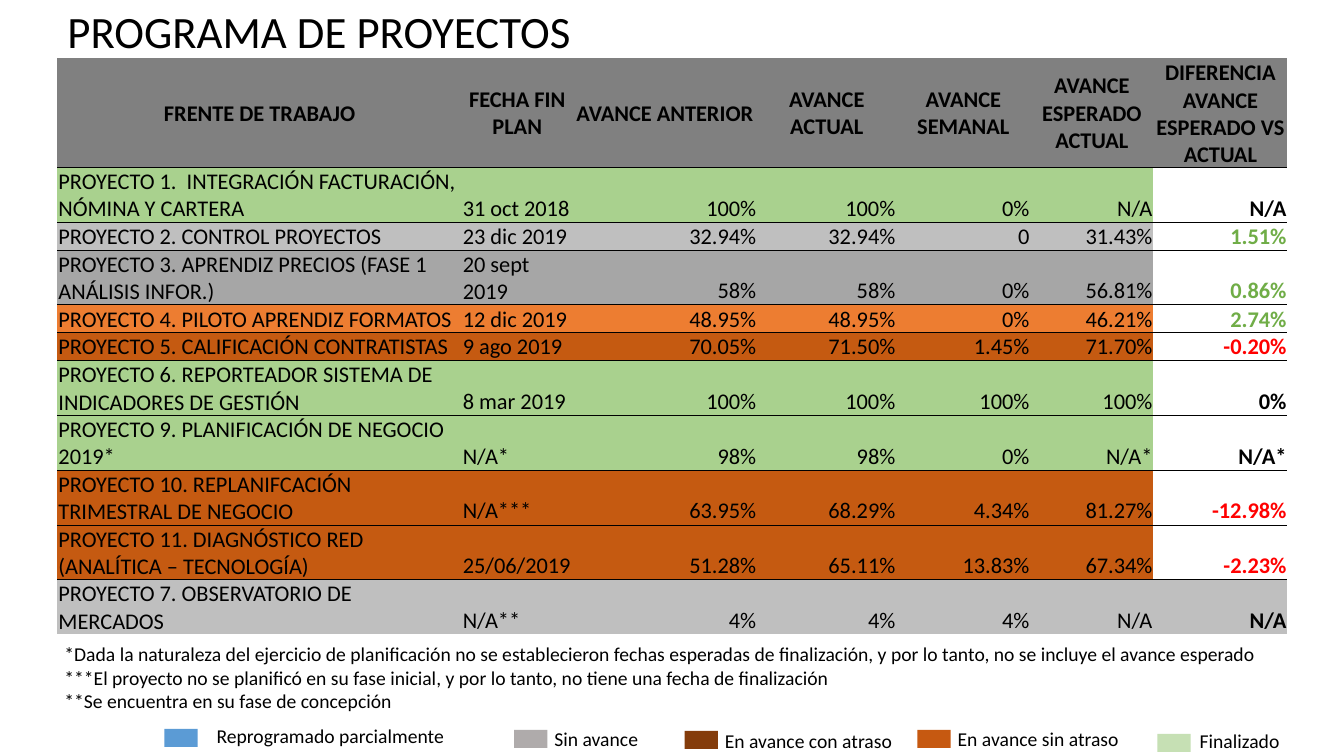
from lxml import etree
from pptx import Presentation, util as u
from pptx.dml.color import RGBColor
from pptx.enum import shapes, text
from pptx.oxml.ns import qn

SCALE = 9144
BLACK, WHITE, GREEN, RED = "000000", "FFFFFF", "70AD47", "FF0000"
DONE, IDLE, IDLE_DARK, ON_TIME, LATE = "A9D18E", "BFBFBF", "A6A6A6", "ED7D31", "C55A11"
HEADER_FILL = "808080"
NO_STYLE = "{2D5ABB26-0587-4C30-8999-92F81FD0307C}"

COLUMN_WIDTHS = [401, 110, 183, 138, 133, 122, 133]
HEADER_HEIGHT, LINE_HEIGHT = 108, 27
HEADERS = ["FRENTE DE TRABAJO", "FECHA FIN PLAN", "AVANCE ANTERIOR", "AVANCE ACTUAL",
           "AVANCE SEMANAL", "AVANCE ESPERADO ACTUAL", "DIFERENCIA AVANCE ESPERADO VS ACTUAL"]
PROJECTS = [
    (DONE, WHITE, BLACK, 2, ["PROYECTO 1.  INTEGRACIÓN FACTURACIÓN, NÓMINA Y CARTERA",
                             "31 oct 2018", "100%", "100%", "0%", "N/A", "N/A"]),
    (IDLE, WHITE, GREEN, 1, ["PROYECTO 2. CONTROL PROYECTOS",
                             "23 dic 2019", "32.94%", "32.94%", "0", "31.43%", "1.51%"]),
    (IDLE_DARK, WHITE, GREEN, 2, ["PROYECTO 3. APRENDIZ PRECIOS (FASE 1 ANÁLISIS INFOR.)",
                                  "20 sept 2019", "58%", "58%", "0%", "56.81%", "0.86%"]),
    (ON_TIME, WHITE, GREEN, 1, ["PROYECTO 4. PILOTO APRENDIZ FORMATOS",
                                "12 dic 2019", "48.95%", "48.95%", "0%", "46.21%", "2.74%"]),
    (LATE, WHITE, RED, 1, ["PROYECTO 5. CALIFICACIÓN CONTRATISTAS",
                           "9 ago 2019", "70.05%", "71.50%", "1.45%", "71.70%", "-0.20%"]),
    (DONE, WHITE, BLACK, 2, ["PROYECTO 6. REPORTEADOR SISTEMA DE INDICADORES DE GESTIÓN",
                             "8 mar 2019", "100%", "100%", "100%", "100%", "0%"]),
    (DONE, WHITE, BLACK, 2, ["PROYECTO 9. PLANIFICACIÓN DE NEGOCIO 2019*",
                             "N/A*", "98%", "98%", "0%", "N/A*", "N/A*"]),
    (LATE, WHITE, RED, 2, ["PROYECTO 10. REPLANIFCACIÓN TRIMESTRAL DE NEGOCIO",
                           "N/A***", "63.95%", "68.29%", "4.34%", "81.27%", "-12.98%"]),
    (LATE, WHITE, RED, 2, ["PROYECTO 11. DIAGNÓSTICO RED (ANALÍTICA – TECNOLOGÍA)",
                           "25/06/2019", "51.28%", "65.11%", "13.83%", "67.34%", "-2.23%"]),
    (IDLE, IDLE, BLACK, 2, ["PROYECTO 7. OBSERVATORIO DE MERCADOS",
                            "N/A**", "4%", "4%", "4%", "N/A", "N/A"]),
]
NOTES = [
    "*Dada la naturaleza del ejercicio de planificación no se establecieron fechas esperadas "
    "de finalización, y por lo tanto, no se incluye el avance esperado",
    "***El proyecto no se planificó en su fase inicial, y por lo tanto, no tiene una fecha de finalización",
    "**Se encuentra en su fase de concepción",
]
LEGEND = [
    ("Reprogramado parcialmente", "5B9BD5", (163, 723), (205, 713, 297)),
    ("Sin avance", "AFABAB", (510, 724), (540, 716, 130)),
    ("En avance con atraso", "843C0B", (679, 725), (709, 718, 193)),
    ("En avance sin atraso", "C65911", (910, 724), (940, 716, 193)),
    ("Finalizado", "C6E0B4", (1148, 728), (1180, 718, 102)),
]


def px(n):
    return u.Emu(n * SCALE)


def color(hex_code):
    return RGBColor.from_string(hex_code)


def set_all(obj, values):
    for name, value in values.items():
        setattr(obj, name, value)


def write(p, words, size, hex_code=BLACK, bold=False, align=text.PP_ALIGN.LEFT):
    p.alignment = align
    r = p.add_run()
    r.text = words
    set_all(r.font, {"name": "Calibri", "size": u.Pt(size), "bold": bold})
    r.font.color.rgb = color(hex_code)


def add_text(s, box, lines, size):
    tf = s.shapes.add_textbox(*map(px, box)).text_frame
    tf.word_wrap = True
    for i, line in enumerate(lines):
        write(tf.add_paragraph() if i else tf.paragraphs[0], line, size)


def add_swatch(s, x, y, fill):
    sp = s.shapes.add_shape(shapes.MSO_SHAPE.RECTANGLE, px(x), px(y), px(33), px(18))
    sp.shadow.inherit = False
    sp.fill.solid()
    sp.fill.fore_color.rgb = color(fill)
    sp.line.fill.background()


def add_border(cell, side):
    ln = etree.SubElement(cell._tc.get_or_add_tcPr(), qn("a:" + side), w=str(u.Pt(0.5)))
    fill = etree.SubElement(ln, qn("a:solidFill"))
    etree.SubElement(fill, qn("a:srgbClr"), val=BLACK)


def fill_cell(cell, words, fill, sides, anchor, **style):
    set_all(cell, {"margin_left": px(1), "margin_right": px(1), "margin_top": px(1),
                   "margin_bottom": 0, "vertical_anchor": anchor})
    for side in sides:
        add_border(cell, side)
    cell.fill.solid()
    cell.fill.fore_color.rgb = color(fill)
    write(cell.text_frame.paragraphs[0], words, 16, **style)


def add_projects(s):
    heights = [HEADER_HEIGHT] + [lines * LINE_HEIGHT for _, _, _, lines, _ in PROJECTS]
    frame = s.shapes.add_table(len(heights), len(HEADERS), px(57), px(58),
                               px(sum(COLUMN_WIDTHS)), px(sum(heights)))
    table = frame.table
    set_all(table, {"first_row": False, "horz_banding": False})
    table._tbl.tblPr.find(qn("a:tableStyleId")).text = NO_STYLE
    for column, width in zip(table.columns, COLUMN_WIDTHS):
        column.width = px(width)
    for row, height in zip(table.rows, heights):
        row.height = px(height)
    for c, words in enumerate(HEADERS):
        fill_cell(table.cell(0, c), words, HEADER_FILL, ["lnB"], text.MSO_ANCHOR.MIDDLE,
                  bold=True, align=text.PP_ALIGN.CENTER)
    last = len(HEADERS) - 1
    for i, (fill, last_fill, last_color, _, values) in enumerate(PROJECTS, 1):
        sides = ["lnT", "lnB"] if i < len(PROJECTS) else ["lnT"]
        for c, words in enumerate(values):
            fill_cell(table.cell(i, c), words, last_fill if c == last else fill, sides,
                      text.MSO_ANCHOR.BOTTOM, bold=c == last,
                      hex_code=last_color if c == last else BLACK,
                      align=text.PP_ALIGN.RIGHT if c > 1 else text.PP_ALIGN.LEFT)


def main():
    prs = Presentation()
    set_all(prs, {"slide_width": px(1333), "slide_height": px(750)})
    s = prs.slides.add_slide(prs.slide_layouts[6])
    add_text(s, (57, -1, 778, 64), ["PROGRAMA DE PROYECTOS"], 32)
    add_projects(s)
    add_text(s, (54, 632, 1220, 81), NOTES, 14)
    for label, fill, swatch, (x, y, width) in LEGEND:
        add_swatch(s, *swatch, fill)
        add_text(s, (x, y, width, 34), [label], 14)
    prs.save("out.pptx")


if __name__ == "__main__":
    main()
